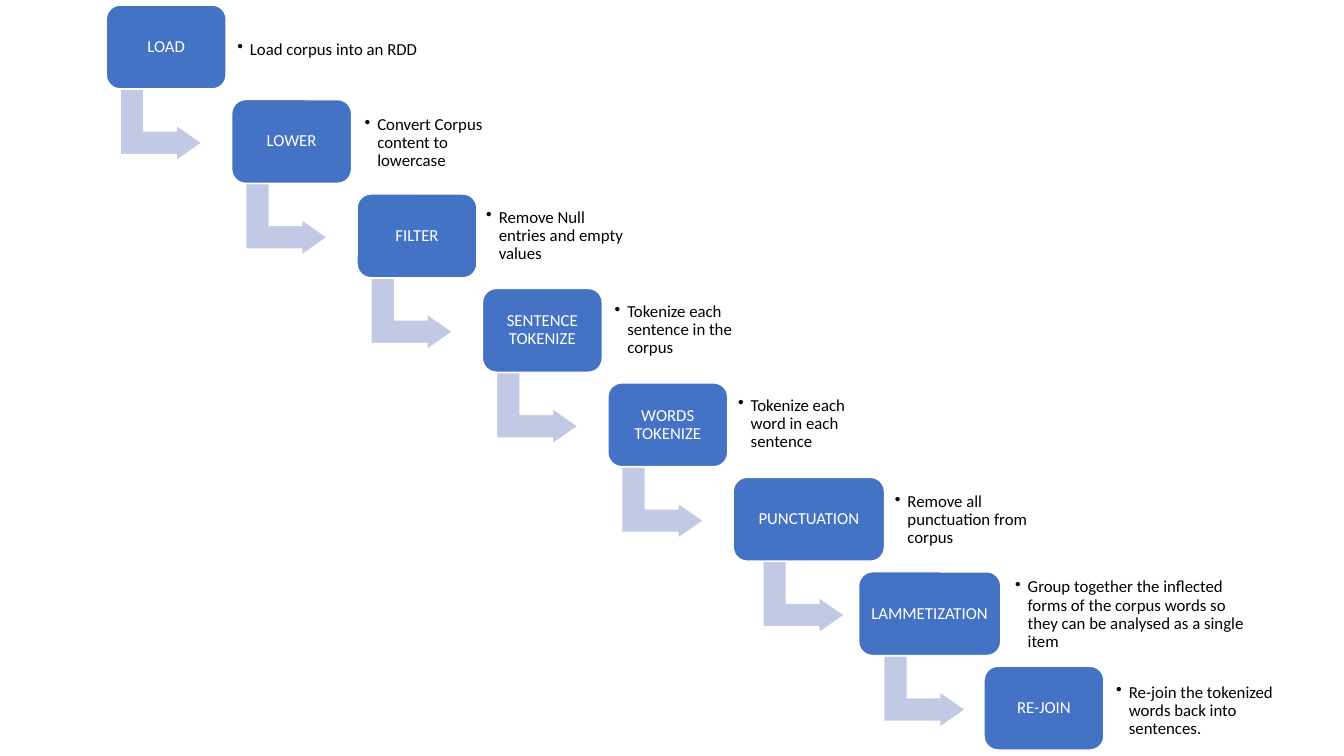
from dataclasses import dataclass

from lxml import etree
from pptx import Presentation
from pptx.dml.color import RGBColor
from pptx.enum.shapes import MSO_SHAPE
from pptx.enum.text import MSO_ANCHOR, PP_ALIGN
from pptx.oxml.ns import qn
from pptx.util import Cm, Pt

ROUNDED, BENT_ARROW = MSO_SHAPE.ROUNDED_RECTANGLE, MSO_SHAPE.BENT_UP_ARROW
MIDDLE = MSO_ANCHOR.MIDDLE
CENTER, LEFT = PP_ALIGN.CENTER, PP_ALIGN.LEFT


@dataclass(frozen=True)
class Theme:
    font: str = "Calibri"
    text_size: float = 12
    line_width: float = 1
    step_fill: RGBColor = RGBColor(0x44, 0x72, 0xC4)
    arrow_fill: RGBColor = RGBColor(0xC1, 0xC9, 0xE4)
    white: RGBColor = RGBColor(0xFF, 0xFF, 0xFF)
    black: RGBColor = RGBColor(0, 0, 0)


@dataclass(frozen=True)
class Step:
    """One stair: label, its width, and a caption with its gap, drop and width."""
    label: str
    width: float
    caption: str
    gap: float
    drop: float
    caption_width: float


THEME = Theme()

# Lengths in centimetres
STAIRS_LEFT, STAIRS_TOP = 2.68, 0.13
STRIDE_X, STRIDE_Y = 3.16, 2.38
STEP_HEIGHT, CAPTION_HEIGHT = 2.11, 1.7
ARROW_WIDTH, ARROW_HEIGHT = 2.06, 1.8
ARROW_SHIFT, ARROW_DROP = -0.13, 2.12
INSET, BULLET_INDENT = 0.13, 0.32

STEPS = [
    Step("LOAD", 3.02, "Load corpus into an RDD", 0.15, 0.28, 4.9),
    Step("LOWER", 3.02, "Convert Corpus content to lowercase", 0.2, 0.25, 3.81),
    Step("FILTER", 3.02, "Remove Null entries and empty values", 0.1, 0.2, 3.99),
    Step("SENTENCE TOKENIZE", 3.02, "Tokenize each sentence in the corpus", 0.18, 0.2, 3.89),
    Step("WORDS TOKENIZE", 3.02, "Tokenize each word in each sentence", 0.13, 0.18, 3.76),
    Step("PUNCTUATION", 3.81, "Remove all punctuation from corpus", 0.13, 0.23, 4.22),
    Step("LAMMETIZATION", 3.58, "Group together the inflected forms of the corpus words "
         "so they can be analysed as a single item", 0.23, 0.23, 6.3),
    Step("RE-JOIN", 3.02, "Re-join the tokenized words back into sentences.", 0.18, 0.28, 4.55),
]


def write_text(shape, text, *, color, align=LEFT, bullet=False):
    frame = shape.text_frame
    frame.word_wrap = True
    frame.vertical_anchor = MIDDLE
    frame.margin_left = frame.margin_right = Cm(INSET)
    frame.margin_top = frame.margin_bottom = Cm(INSET)
    para = frame.paragraphs[0]
    para.alignment = align
    para.line_spacing = 0.9
    span = para.add_run()
    span.text = text
    span.font.name = THEME.font
    span.font.size = Pt(THEME.text_size)
    span.font.color.rgb = color
    if bullet:
        properties = para._p.get_or_add_pPr()
        properties.set("marL", str(Cm(BULLET_INDENT)))
        properties.set("indent", str(-Cm(BULLET_INDENT)))
        etree.SubElement(properties, qn("a:buChar"), char="•")


def add_block(page, kind, left, top, width, height, fill):
    block = page.shapes.add_shape(kind, Cm(left), Cm(top), Cm(width), Cm(height))
    block.shadow.inherit = False
    block.fill.solid()
    block.fill.fore_color.rgb = fill
    block.line.color.rgb = THEME.white
    block.line.width = Pt(THEME.line_width)
    return block


def add_arrow(page, left, top, step_width):
    """Place the turned arrow under a step, centred on it with a small shift."""
    center_x = left + step_width / 2 + ARROW_SHIFT
    center_y = top + ARROW_DROP + ARROW_HEIGHT / 2
    # A quarter turn swaps the sides of the frame
    arrow = add_block(page, BENT_ARROW, center_x - ARROW_HEIGHT / 2,
                      center_y - ARROW_WIDTH / 2, ARROW_HEIGHT, ARROW_WIDTH,
                      THEME.arrow_fill)
    arrow.rotation = 90
    for index, value in enumerate((0.33, 0.25, 0.36)):
        arrow.adjustments[index] = value


def add_step(page, left, top, step):
    # Labelled box
    box = add_block(page, ROUNDED, left, top, step.width, STEP_HEIGHT, THEME.step_fill)
    write_text(box, step.label, color=THEME.white, align=CENTER)
    # Caption to its right
    caption = page.shapes.add_textbox(
        Cm(left + step.width + step.gap), Cm(top + step.drop),
        Cm(step.caption_width), Cm(CAPTION_HEIGHT))
    write_text(caption, step.caption, color=THEME.black, bullet=True)


def add_staircase(page, left, top, steps):
    for index, step in enumerate(steps):
        step_left, step_top = left + index * STRIDE_X, top + index * STRIDE_Y
        if index < len(steps) - 1:
            add_arrow(page, step_left, step_top, step.width)
        add_step(page, step_left, step_top, step)


deck = Presentation()
deck.slide_width, deck.slide_height = Cm(33.87), Cm(19.05)
page = deck.slides.add_slide(deck.slide_layouts[6])
add_staircase(page, STAIRS_LEFT, STAIRS_TOP, STEPS)
deck.save("out.pptx")
